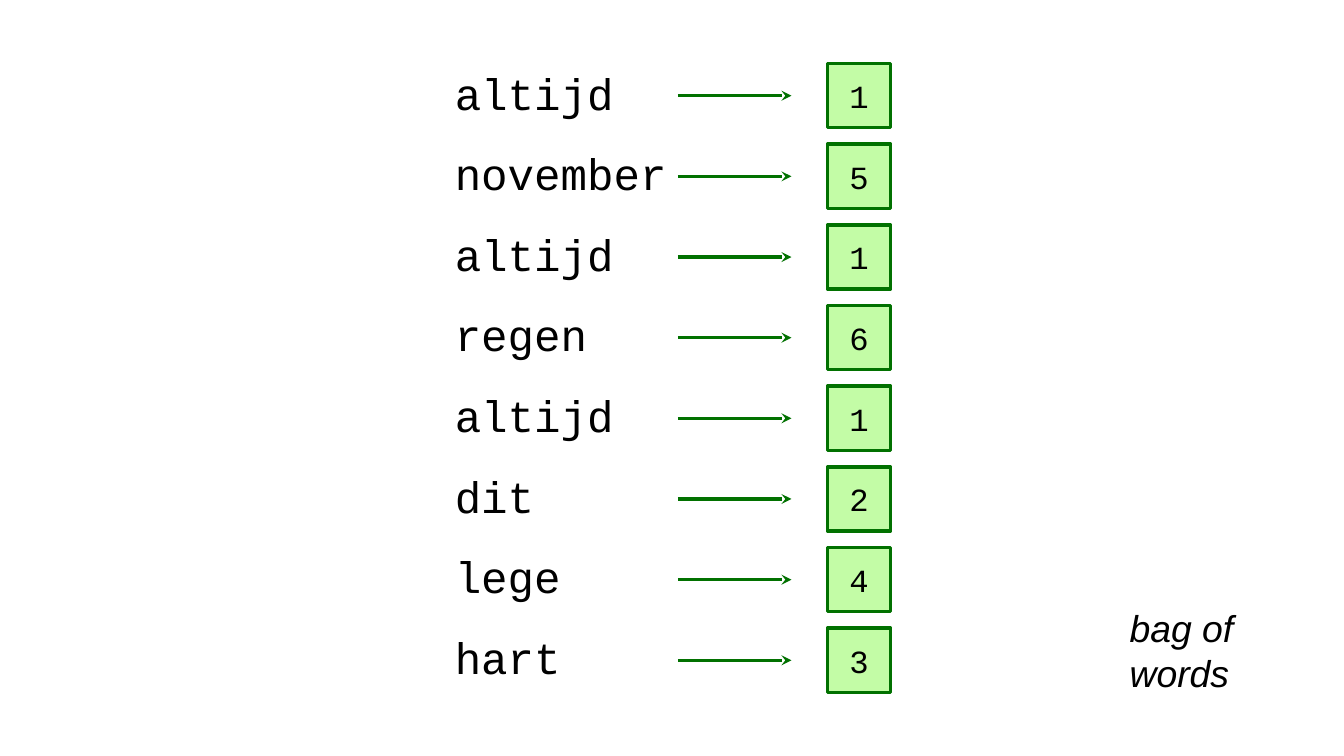
"""Build the bag of words slide: each word points to its number."""
from pptx import Presentation
from pptx import util as u
from pptx.dml.color import RGBColor
from pptx.enum import shapes, text
from pptx.oxml import ns
from lxml import etree

BLACK = RGBColor(0x00, 0x00, 0x00)
DARK_GREEN = RGBColor(0x01, 0x71, 0x00)
LIGHT_GREEN = RGBColor(0x88, 0xFA, 0x4E)

WORD_NUMBERS = [
    ("altijd", 1), ("november", 5), ("altijd", 1), ("regen", 6),
    ("altijd", 1), ("dit", 2), ("lege", 4), ("hart", 3),
]
ROW_PITCH = 3.35
ROW_HEIGHT = 2.67
INSET = 0.13


def add_xml(parent, tag, **attributes):
    """Append a drawing element to its parent."""
    return etree.SubElement(parent, ns.qn(tag), **attributes)


def write(shape, content, font_name, size, anchor):
    """Set the text of a shape and return its paragraph."""
    frame = shape.text_frame
    frame.text = content
    frame.vertical_anchor = anchor
    frame.margin_left = frame.margin_right = u.Cm(INSET)
    frame.margin_top = frame.margin_bottom = u.Cm(INSET)
    para = frame.paragraphs[0]
    font = para.runs[0].font
    font.name, font.size, font.color.rgb = font_name, u.Pt(size), BLACK
    return para


def add_word(page, left, top, word):
    """Place a word in a box that is as wide as its letters."""
    width, height = 1.1 * len(word) + 2 * INSET, 2.34
    box = page.shapes.add_textbox(
        u.Cm(left), u.Cm(top + (ROW_HEIGHT - height) / 2), u.Cm(width), u.Cm(height))
    para = write(box, word, "Courier New", 52, text.MSO_ANCHOR.MIDDLE)
    para.line_spacing = 0.9
    box.text_frame.word_wrap = False
    box.text_frame.auto_size = text.MSO_AUTO_SIZE.SHAPE_TO_FIT_TEXT


def add_arrow(page, left, middle, length):
    """Draw a horizontal arrow to the right."""
    arrow = page.shapes.add_connector(
        shapes.MSO_CONNECTOR.STRAIGHT,
        u.Cm(left), u.Cm(middle), u.Cm(left + length), u.Cm(middle))
    arrow.line.color.rgb = DARK_GREEN
    arrow.line.width = u.Pt(4)
    add_xml(arrow.line._get_or_add_ln(), "a:tailEnd", type="stealth")
    add_xml(arrow._element.spPr, "a:effectLst")


def add_number(page, left, top, number):
    """Place a number in a half transparent green square."""
    square = page.shapes.add_shape(
        shapes.MSO_SHAPE.RECTANGLE, u.Cm(left), u.Cm(top), u.Cm(2.62), u.Cm(ROW_HEIGHT))
    square.shadow.inherit = False
    square.fill.solid()
    square.fill.fore_color.rgb = LIGHT_GREEN
    color = square._element.spPr.find(ns.qn("a:solidFill")).find(ns.qn("a:srgbClr"))
    add_xml(color, "a:alpha", val="50000")
    square.line.color.rgb = DARK_GREEN
    square.line.width = u.Pt(4)
    para = write(square, str(number), "Courier New", 38, text.MSO_ANCHOR.MIDDLE)
    para.alignment = text.PP_ALIGN.CENTER


def add_word_rows(page, left, top):
    """Stack one row of word, arrow and number for each entry."""
    for index, (word, number) in enumerate(WORD_NUMBERS):
        row_top = top + index * ROW_PITCH
        add_word(page, left, row_top, word)
        add_arrow(page, left + 9.4, row_top + ROW_HEIGHT / 2, 4.72)
        add_number(page, left + 15.62, row_top, number)


def add_caption(page, left, top, width, height):
    """Place the italic caption."""
    box = page.shapes.add_textbox(u.Cm(left), u.Cm(top), u.Cm(width), u.Cm(height))
    para = write(box, "bag of words", "Arial", 44, text.MSO_ANCHOR.TOP)
    para.runs[0].font.italic = True
    box.text_frame.word_wrap = True
    box.text_frame.auto_size = text.MSO_AUTO_SIZE.SHAPE_TO_FIT_TEXT


def main():
    """Build and save the deck."""
    deck = Presentation()
    deck.slide_width, deck.slide_height = u.Cm(55.85), u.Cm(31.4)
    page = deck.slides.add_slide(deck.slide_layouts[6])
    add_word_rows(page, 18.77, 2.64)
    add_caption(page, 46.81, 25, 8.33, 4)
    deck.save("out.pptx")


if __name__ == "__main__":
    main()
